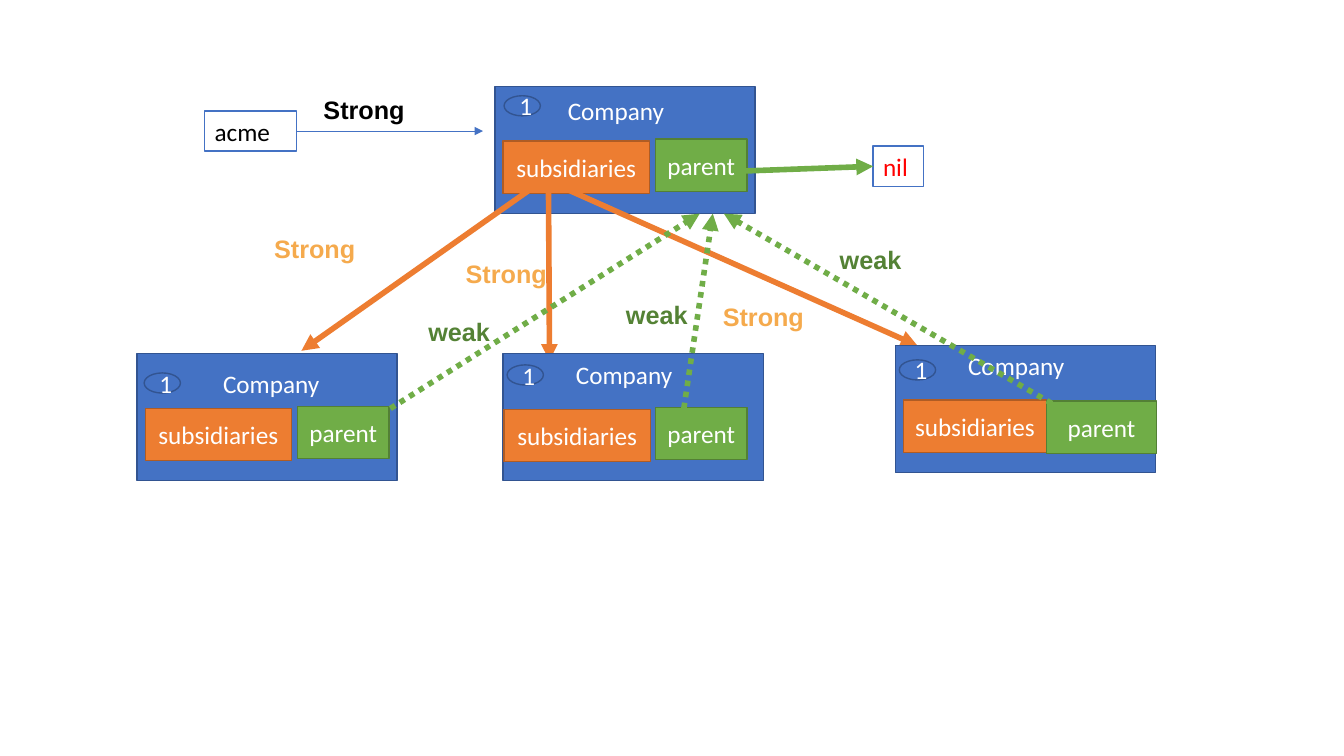
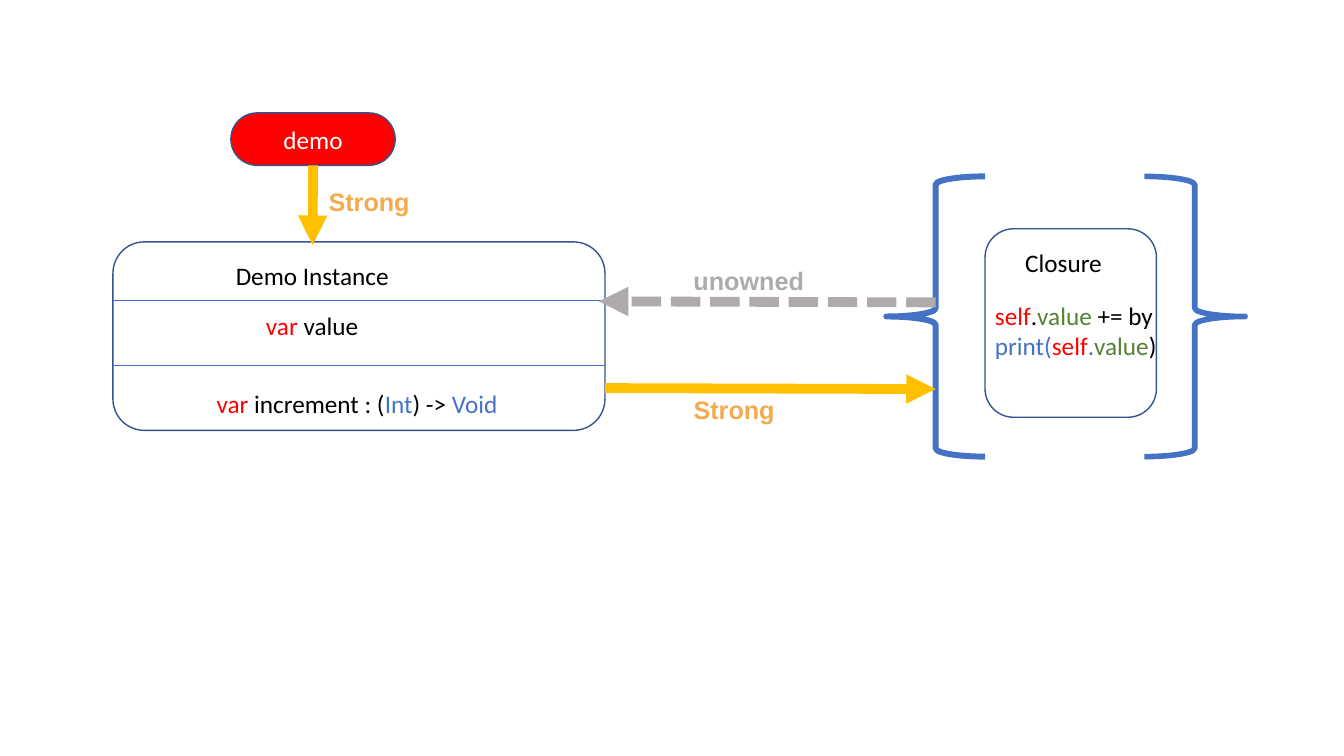
from pptx import Presentation
from pptx.dml.color import RGBColor
from pptx.enum.dml import MSO_LINE
from pptx.enum.shapes import MSO_CONNECTOR, MSO_SHAPE
from pptx.enum.text import MSO_ANCHOR, MSO_AUTO_SIZE, PP_ALIGN
from pptx.oxml.ns import qn
from pptx.util import Inches, Pt
from lxml import etree

RECT, ROUND, OVAL = MSO_SHAPE.RECTANGLE, MSO_SHAPE.ROUNDED_RECTANGLE, MSO_SHAPE.OVAL
LEFT_BRACE, RIGHT_BRACE = MSO_SHAPE.LEFT_BRACE, MSO_SHAPE.RIGHT_BRACE
STRAIGHT = MSO_CONNECTOR.STRAIGHT
DOTS, DASHES = MSO_LINE.ROUND_DOT, MSO_LINE.SQUARE_DOT
MIDDLE, CENTER, LEFT = MSO_ANCHOR.MIDDLE, PP_ALIGN.CENTER, PP_ALIGN.LEFT
GROW = MSO_AUTO_SIZE.SHAPE_TO_FIT_TEXT
BOTTOM_SIDE, LEFT_SIDE, RIGHT_SIDE = 2, 1, 3

COLORS = {
    "blue": "4472C4", "navy": "325491",
    "orange": "ED7D31", "brown": "AF5C24",
    "green": "70AD47", "edge_green": "538035", "dark_green": "548235",
    "amber": "F5AA4D", "gold": "FFC000", "gray": "AFABAB",
    "red": "FF0000", "black": "000000", "white": "FFFFFF",
}
BODY = {"name": "Calibri", "size": Pt(18), "bold": False}
LABEL = {"name": "Arial", "size": Pt(18), "bold": True}


def rgb(name):
    return RGBColor.from_string(COLORS[name])


def write(tf, lines, style=BODY, align=LEFT):
    """Fill a text frame; each line is a list of (text, colour) runs."""
    for i, runs in enumerate(lines):
        p = tf.paragraphs[0] if i == 0 else tf.add_paragraph()
        p.alignment = align
        for text, color in runs:
            r = p.add_run()
            r.text = text
            for key, value in style.items():
                setattr(r.font, key, value)
            r.font.color.rgb = rgb(color)


def add_box(s, kind, at, fill=None, line=None, text=None, width=1):
    sp = s.shapes.add_shape(kind, *map(Inches, at))
    sp.shadow.inherit = False
    if fill:
        sp.fill.solid()
        sp.fill.fore_color.rgb = rgb(fill)
    else:
        sp.fill.background()
    if line:
        sp.line.color.rgb = rgb(line)
        sp.line.width = Pt(width)
    else:
        sp.line.fill.background()
    if text:
        sp.text_frame.vertical_anchor = MIDDLE
        write(sp.text_frame, [[(text, "white")]], align=CENTER)
    return sp


def add_text(s, at, lines, style=BODY, wrap=True):
    sp = s.shapes.add_textbox(*map(Inches, at))
    sp.text_frame.word_wrap = wrap
    sp.text_frame.auto_size = GROW
    write(sp.text_frame, lines, style)
    return sp


def add_label(s, left, top, text, color, width=1.02):
    add_text(s, (left, top, width, 0.4), [[(text, color)]], LABEL)


def add_line(s, start, end, color, width, dash=None, arrow=True):
    line = s.shapes.add_connector(STRAIGHT, *map(Inches, start + end))
    line.line.color.rgb = rgb(color)
    line.line.width = Pt(width)
    if dash:
        line.line.dash_style = dash
    if arrow:
        etree.SubElement(line.line._get_or_add_ln(), qn("a:tailEnd"), type="triangle")
    etree.SubElement(line._element.spPr, qn("a:effectLst"))
    return line


def add_variable(s, left, top, width, name, color):
    sp = add_text(s, (left, top, width, 0.4), [[(name, color)]])
    sp.fill.solid()
    sp.fill.fore_color.rgb = rgb("white")
    sp.line.color.rgb = rgb("blue")
    sp.line.width = Pt(1)
    return sp


def add_company(s, left, top, title, badge, subsidiaries=(0.08, 0.54, 1.45),
                parent=(1.59, 0.52, 0.91), raised=False):
    """Draw a company card; part offsets are taken from its top left corner."""
    def part(kind, offset, size, *look):
        at = (left + offset[0], top + offset[1], *size)
        return add_box(s, kind, at, *look)

    part(RECT, (0, 0), (2.58, 1.26), "blue", "navy")
    for (x, y, width), *look in ((subsidiaries, "orange", "brown", "subsidiaries"),
                                 (parent, "green", "edge_green", "parent")):
        part(RECT, (x, y), (width, 0.52), *look)
    heading = part(RECT, title, (1.5, 0.37), "blue", None, "Company")
    if raised:
        heading.text_frame.margin_bottom = Inches(0.3)
    part(OVAL, badge, (0.36, 0.2), "blue", "navy", "1")


def company_slide(prs):
    s = prs.slides.add_slide(prs.slide_layouts[6])
    add_company(s, 4.91, 0.86, (0.45, 0.05), (0.09, 0.09))

    variable = add_variable(s, 2.03, 1.1, 0.91, "acme", "black")
    owner = add_line(s, (2.94, 1.3), (4.79, 1.3), "blue", 0.5)
    owner.begin_connect(variable, RIGHT_SIDE)
    nil = add_variable(s, 8.66, 1.5 - 0.05, 0.5, "nil", "red")
    no_parent = add_line(s, (7.28, 1.7), (8.66, 1.7), "green", 4)
    no_parent.end_connect(nil, LEFT_SIDE)

    for x, end in ((5.3, (2.99, 3.48)), (5.44, (5.45, 3.58)), (5.56, (9.1, 3.43))):
        add_line(s, (x, 1.85), end, "orange", 4)

    add_company(s, 1.36, 3.51, (0.58, 0.11), (0.07, 0.19))
    add_company(s, 4.99, 3.51, (0.45, 0.15), (0.04, 0.11),
                (0.01, 0.55, 1.45), (1.51, 0.53, 0.91), raised=True)
    add_company(s, 8.88, 3.43, (0.45, 0.14), (0.04, 0.14),
                (0.08, 0.54, 1.42), (1.5, 0.55, 1.09), raised=True)

    for start, x in (((3.59, 4.23), 6.94), ((6.75, 4.27), 7.07), ((10.72, 4.17), 7.18)):
        add_line(s, start, (x, 2.12), "green", 4, DOTS)

    add_label(s, 3.11, 0.89, "Strong", "black")
    for left, top in ((2.62, 2.27), (4.52, 2.51), (7.07, 2.94)):
        add_label(s, left, top, "Strong", "amber")
    for left, top in ((8.23, 2.37), (6.11, 2.92), (4.15, 3.09)):
        add_label(s, left, top, "weak", "dark_green")


def add_instance(s, left, top, width, height):
    add_box(s, ROUND, (left, top, width, height), "white", "navy")
    for y in (top + 0.58, top + 1.22):
        add_line(s, (left, y), (left + width, y), "blue", 0.5, arrow=False)
    rows = (
        (1.12, 0.13, 1.74, [("Demo Instance", "black")]),
        (1.42, 0.63, 1.13, [("var ", "red"), ("value", "black")]),
        (0.93, 1.4, 3.02, [("var ", "red"), ("increment : (", "black"), ("Int", "blue"),
                           (") -> ", "black"), ("Void", "blue")]),
    )
    for x, y, text_width, runs in rows:
        add_text(s, (left + x, top + y, text_width, 0.4), [runs], wrap=False)


def add_closure(s, left, top):
    """Draw the closure between braces, placed from the left brace's corner."""
    add_box(s, LEFT_BRACE, (left, top, 0.98, 2.78), line="blue", width=4.25)
    add_box(s, RIGHT_BRACE, (left + 2.56, top, 1, 2.78), line="blue", width=4)
    add_box(s, ROUND, (left + 0.98, top + 0.52, 1.7, 1.87), line="navy")
    add_text(s, (left + 1.28, top + 0.65, 0.97, 0.4), [[("Closure", "black")]], wrap=False)
    add_text(s, (left + 0.98, top + 1.18, 1.93, 1.01), [
        [("self", "red"), (".", "black"), ("value", "dark_green"), (" += by", "black")],
        [("print(", "blue"), ("self", "red"), (".", "blue"), ("value", "dark_green"),
         (")", "black")],
    ])


def closure_slide(prs):
    s = prs.slides.add_slide(prs.slide_layouts[6])
    demo = add_box(s, ROUND, (2.29, 1.12, 1.63, 0.52), "red", "navy", "demo")
    demo.adjustments[0] = 0.5
    add_instance(s, 1.12, 2.4, 4.88, 1.87)
    add_closure(s, 8.79, 1.75)

    add_line(s, (6, 3.85), (9.28, 3.86), "gold", 7)
    add_line(s, (9.28, 3), (5.94, 2.99), "gray", 7, DASHES)
    reference = add_line(s, (3.1, 1.64), (3.1, 2.43), "gold", 7)
    reference.begin_connect(demo, BOTTOM_SIDE)

    add_label(s, 6.78, 3.86, "Strong", "amber")
    add_label(s, 6.78, 2.58, "unowned", "gray", 1.5)
    add_label(s, 3.16, 1.8, "Strong", "amber")


def main():
    prs = Presentation()
    prs.slide_width, prs.slide_height = Inches(13.33), Inches(7.5)
    company_slide(prs)
    closure_slide(prs)
    prs.save("out.pptx")


if __name__ == "__main__":
    main()
